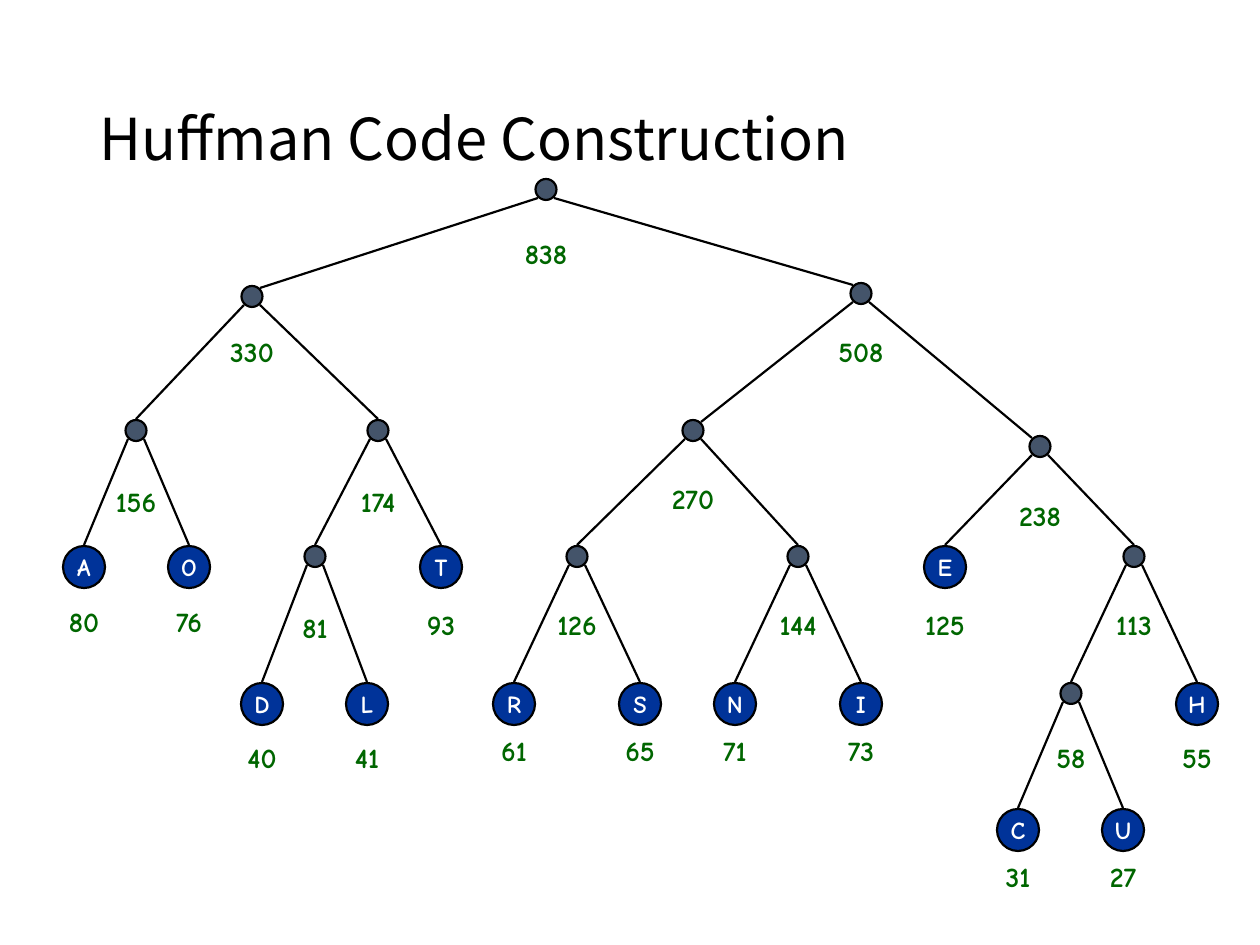
from lxml import etree
from pptx import Presentation
from pptx import util as u
from pptx.dml.color import RGBColor
from pptx.enum import shapes, text
from pptx.oxml import ns

BLACK = RGBColor(0x00, 0x00, 0x00)
WHITE = RGBColor(0xFF, 0xFF, 0xFF)
SLATE = RGBColor(0x44, 0x54, 0x6A)
BLUE = RGBColor(0x00, 0x33, 0x99)
GREEN = RGBColor(0x00, 0x66, 0x00)
HEAD = "Noto Sans CJK SC"
HAND = "Comic Neue"
DOT, LEAF = 21, 42
WIDE = 150


def px(n):
    return u.Emu(round(n * 914400 / 126))


def place(box):
    return [px(n) for n in box]


def style(par, face, size, color, bold):
    par.font.name = face
    par.font.size = u.Pt(size)
    par.font.color.rgb = color
    par.font.bold = bold


def title(slide, box):
    head = slide.shapes.title
    head.left, head.top, head.width, head.height = place(box)
    frame = head.text_frame
    frame.text = "Huffman Code Construction"
    frame.vertical_anchor = text.MSO_ANCHOR.MIDDLE
    par = frame.paragraphs[0]
    par.alignment = text.PP_ALIGN.LEFT
    par.line_spacing = 0.9
    style(par, HEAD, 33, BLACK, False)


def edge(slide, start, end):
    line = slide.shapes.add_connector(
        shapes.MSO_CONNECTOR.STRAIGHT, *place(start + end))
    line.line.color.rgb = BLACK
    line.line.width = u.Pt(1.25)
    etree.SubElement(line._element.spPr, ns.qn("a:effectLst"))


def write(shape, words, size, color, wrap):
    frame = shape.text_frame
    frame.text = words
    frame.word_wrap = wrap
    frame.vertical_anchor = text.MSO_ANCHOR.MIDDLE
    par = frame.paragraphs[0]
    par.alignment = text.PP_ALIGN.CENTER
    style(par, HAND, size, color, True)


def disc(slide, x, y, size, fill):
    shape = slide.shapes.add_shape(
        shapes.MSO_SHAPE.OVAL, *place((x - size / 2, y, size, size)))
    shape.shadow.inherit = False
    shape.fill.solid()
    shape.fill.fore_color.rgb = fill
    shape.line.color.rgb = BLACK
    shape.line.width = u.Pt(1.25)
    return shape


def label(slide, x, y, weight):
    box = slide.shapes.add_textbox(*place((x - 42, y, 84, 52)))
    write(box, str(weight), 16, GREEN, True)


def tree(slide, x, y, node):
    weight, gap, kids = node
    label(slide, x, y + gap, weight)
    if isinstance(kids, str):
        write(disc(slide, x, y, LEAF, BLUE), kids, 14, WHITE, False)
        return
    disc(slide, x, y, DOT, SLATE)
    for dx, dy, kid in kids:
        side = 1 if dx > 0 else -1
        start = (x + side * 8, y + 19)
        if abs(dx) > WIDE:
            end = (x + dx - side * 8, y + dy + 2)
        else:
            end = (x + dx, y + dy - 1)
        edge(slide, start, end)
        tree(slide, x + dx, y + dy, kid)


LEFT = (330, 39, [
    (-116, 134, (156, 55, [
        (-52, 126, (80, 49, "A")),
        (53, 126, (76, 49, "O"))])),
    (126, 134, (174, 55, [
        (-63, 126, (81, 55, [
            (-53, 137, (40, 48, "D")),
            (52, 137, (41, 48, "L"))])),
        (63, 126, (93, 52, "T"))]))])

RIGHT = (508, 42, [
    (-168, 137, (270, 52, [
        (-116, 126, (126, 52, [
            (-63, 137, (61, 41, "R")),
            (63, 137, (65, 41, "S"))])),
        (105, 126, (144, 52, [
            (-63, 137, (71, 41, "N")),
            (63, 137, (73, 41, "I"))]))])),
    (179, 153, (238, 53, [
        (-95, 110, (125, 52, "E")),
        (94, 110, (113, 52, [
            (-63, 137, (58, 48, [
                (-53, 126, (31, 41, "C")),
                (52, 126, (27, 41, "U"))])),
            (63, 137, (55, 48, "H"))]))]))])

ROOT = (838, 48, [(-294, 107, LEFT), (315, 104, RIGHT)])


def main():
    deck = Presentation()
    deck.slide_width, deck.slide_height = px(1260), px(945)
    slide = deck.slides.add_slide(deck.slide_layouts[5])
    title(slide, (87, 50, 1086, 183))
    tree(slide, 546, 179, ROOT)
    deck.save("out.pptx")


if __name__ == "__main__":
    main()
